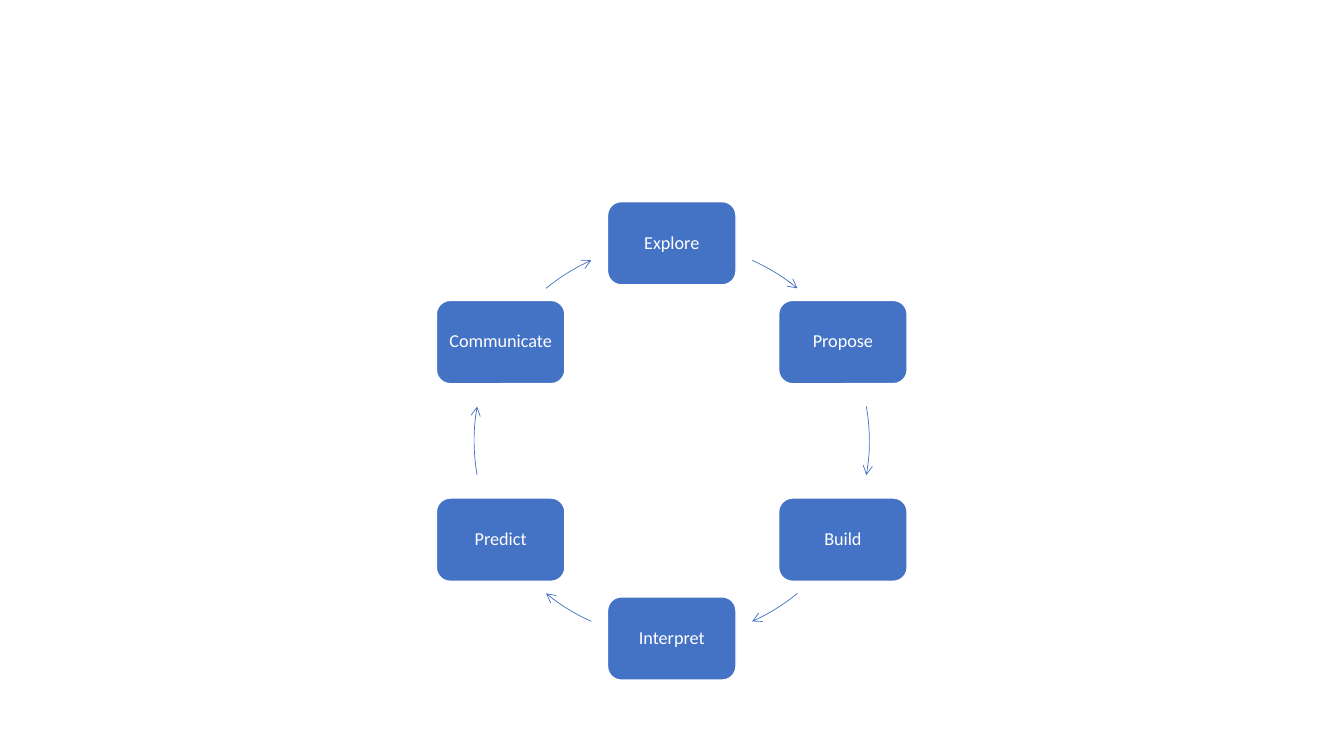
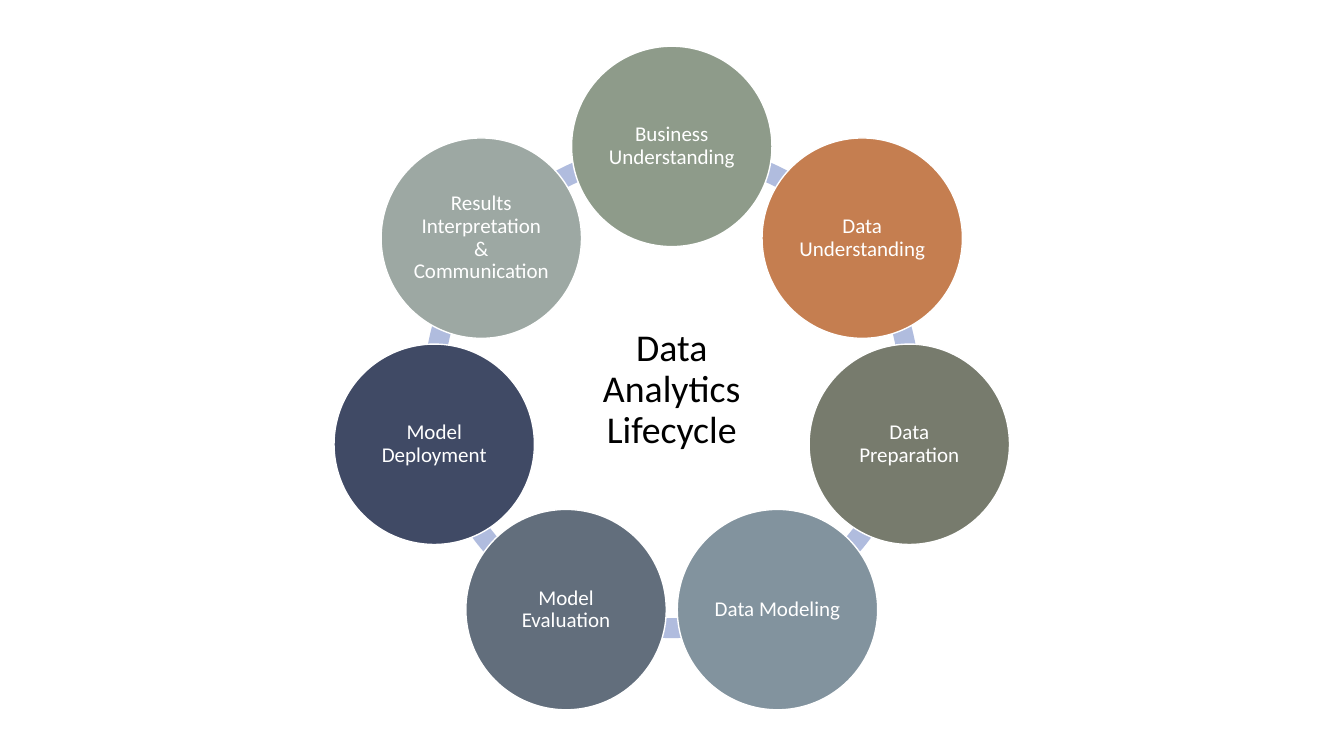
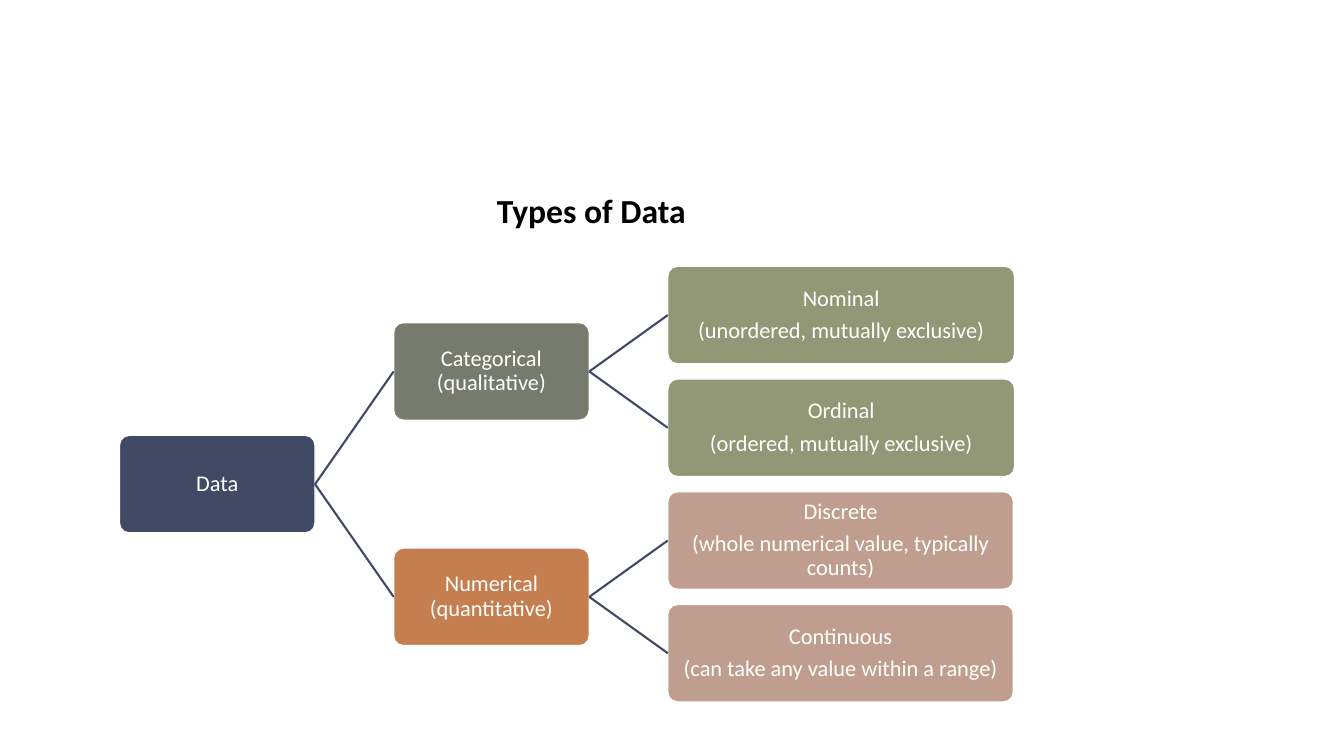
from dataclasses import dataclass
from math import cos, radians, sin

from lxml import etree
from pptx import Presentation
from pptx.dml.color import RGBColor
from pptx.enum import shapes, text
from pptx.oxml import ns
from pptx.util import Cm, Pt


@dataclass(frozen=True)
class Theme:
    font: str = "Calibri"
    white: str = "FFFFFF"
    black: str = "000000"
    blue: str = "4472C4"
    pale_blue: str = "B0BCDE"
    navy: str = "404A65"
    orange: str = "C57E50"
    moss: str = "777B6D"
    olive: str = "929776"
    rose: str = "BF9E8F"
    sage: str = "8E9B8A"
    steel: str = "82939E"
    slate: str = "626E7C"
    mist: str = "9DA8A3"
    step_size: float = 13
    phase_size: float = 15
    tree_size: float = 16
    title_size: float = 24
    hub_size: float = 27
    outline: float = 1
    arrow_width: float = 0.5
    branch_width: float = 1.5


THEME = Theme()
SHAPE = shapes.MSO_SHAPE
CENTER_X = 16.93
ARC_UNITS_PER_DEGREE = 0.6

STEPS = ["Explore", "Propose", "Build", "Interpret", "Predict", "Communicate"]
# Start and end of each arrow, in degrees past its step; the pattern repeats every half turn.
ARROW_SPANS = [(24, 39.5), (20, 40), (20.5, 36)]

PHASES = [
    ("Business Understanding", THEME.sage),
    ("Data Understanding", THEME.orange),
    ("Data Preparation", THEME.moss),
    ("Data Modeling", THEME.steel),
    ("Model Evaluation", THEME.slate),
    ("Model Deployment", THEME.navy),
    ("Results Interpretation & Communication", THEME.mist),
]

# Each node: paragraphs, colour, width, children.
DATA_TREE = (["Data"], THEME.navy, 4.93, [
    (["Categorical (qualitative)"], THEME.moss, 4.93, [
        (["Nominal", "(unordered, mutually exclusive)"], THEME.olive, 8.74, []),
        (["Ordinal", "(ordered, mutually exclusive)"], THEME.olive, 8.74, []),
    ]),
    (["Numerical (quantitative)"], THEME.orange, 4.93, [
        (["Discrete", "(whole numerical value, typically counts)"], THEME.rose, 8.71, []),
        (["Continuous", "(can take any value within a range)"], THEME.rose, 8.71, []),
    ]),
])


def set_values(target, values):
    for name, value in values.items():
        setattr(target, name, value)


def write_text(shape, lines, size, color, margin):
    """Fill a shape with centred paragraphs."""
    frame = shape.text_frame
    set_values(frame, {
        "word_wrap": True,
        "vertical_anchor": text.MSO_ANCHOR.MIDDLE,
        **{f"margin_{side}": Cm(margin) for side in ("left", "top", "right", "bottom")},
    })
    frame.text = "\n".join(lines)
    for paragraph in frame.paragraphs:
        set_values(paragraph, {
            "alignment": text.PP_ALIGN.CENTER,
            "line_spacing": 0.9,
            "space_after": Pt(0.35 * size),
        })
        set_values(paragraph.font, {"name": THEME.font, "size": Pt(size)})
        paragraph.font.color.rgb = RGBColor.from_string(color)


def centered_box(x, y, width, height):
    return Cm(x - width / 2), Cm(y - height / 2), Cm(width), Cm(height)


def set_line(line, color, width):
    line.color.rgb = RGBColor.from_string(color)
    line.width = Pt(width)


def add_node(slide, kind, box, fill, lines, size, margin):
    shape = slide.shapes.add_shape(kind, *box)
    shape.shadow.inherit = False
    shape.fill.solid()
    shape.fill.fore_color.rgb = RGBColor.from_string(fill)
    set_line(shape.line, THEME.white, THEME.outline)
    write_text(shape, lines, size, THEME.white, margin)
    return shape


def add_arc(slide, kind, center_y, diameter, start, end):
    """Add an arc that runs clockwise between two angles, 0 pointing right."""
    box = centered_box(CENTER_X, center_y, diameter, diameter)
    arc = slide.shapes.add_shape(kind, *box)
    arc.shadow.inherit = False
    for index, angle in enumerate((start, end)):
        arc.adjustments[index] = angle % 360 * ARC_UNITS_PER_DEGREE
    return arc


def add_arc_arrow(slide, center_y, diameter, start, end):
    arrow = add_arc(slide, SHAPE.ARC, center_y, diameter, start, end)
    arrow.fill.background()
    set_line(arrow.line, THEME.blue, THEME.arrow_width)
    outline = arrow.element.spPr.find(ns.qn("a:ln"))
    etree.SubElement(outline, ns.qn("a:tailEnd"), type="arrow")


def add_ring_segment(slide, center_y, diameter, start, end):
    segment = add_arc(slide, SHAPE.BLOCK_ARC, center_y, diameter, start, end)
    segment.adjustments[2] = 0.04
    segment.fill.solid()
    segment.fill.fore_color.rgb = RGBColor.from_string(THEME.pale_blue)
    segment.line.fill.background()


def add_branch(slide, parent, child):
    branch = slide.shapes.add_connector(shapes.MSO_CONNECTOR.STRAIGHT, 0, 0, 0, 0)
    branch.begin_connect(parent, 3)
    branch.end_connect(child, 1)
    set_line(branch.line, THEME.navy, THEME.branch_width)
    etree.SubElement(branch.element.spPr, ns.qn("a:effectLst"))


def around(center_y, radius, count):
    """Yield angle, x and y of equally spaced points, clockwise from the top."""
    for index in range(count):
        angle = -90 + index * 360 / count
        yield (angle, CENTER_X + radius * cos(radians(angle)),
               center_y + radius * sin(radians(angle)))


def build_step_cycle(slide):
    center_y, radius = 11.11, 4.98
    points = around(center_y, radius, len(STEPS))
    for index, (step, (angle, x, y)) in enumerate(zip(STEPS, points)):
        add_node(slide, SHAPE.ROUNDED_RECTANGLE, centered_box(x, y, 3.24, 2.1),
                 THEME.blue, [step], THEME.step_size, 0.13)
        start, end = ARROW_SPANS[index % len(ARROW_SPANS)]
        add_arc_arrow(slide, center_y, 2 * radius, angle + start, angle + end)


def build_lifecycle(slide):
    center_y = 9.83
    points = list(around(center_y, 6.14, len(PHASES)))
    for angle, _, _ in points:
        add_ring_segment(slide, center_y, 12.5, angle, angle + 360 / len(PHASES))
    hub = slide.shapes.add_textbox(*centered_box(CENTER_X, center_y, 5.03, 3.43))
    write_text(hub, ["Data Analytics Lifecycle"], THEME.hub_size, THEME.black, 0.1)
    for (phase, color), (_, x, y) in zip(PHASES, points):
        add_node(slide, SHAPE.OVAL, centered_box(x, y, 5.05, 5.05),
                 color, [phase], THEME.phase_size, 0.05)


def add_tree(slide, node, level=0, first_leaf=0):
    """Add a node beside its children; return its shape, centre and leaf count."""
    lines, color, width, children = node
    height, leaf_pitch, first_center = 2.46, 2.84, 7.94
    leaves, branches = 0, []
    for child in children:
        branches.append(add_tree(slide, child, level + 1, first_leaf + leaves))
        leaves += branches[-1][2]
    if branches:
        center = sum(branch[1] for branch in branches) / len(branches)
    else:
        center, leaves = first_center + first_leaf * leaf_pitch, 1
    box = Cm(3.01 + level * 6.91), Cm(center - height / 2), Cm(width), Cm(height)
    shape = add_node(slide, SHAPE.ROUNDED_RECTANGLE, box, color, lines,
                     THEME.tree_size, 0.03)
    shape.adjustments[0] = 0.1
    for child_shape, _, _ in branches:
        add_branch(slide, shape, child_shape)
    return shape, center, leaves


def build_data_types(slide):
    add_tree(slide, DATA_TREE)
    title = slide.shapes.add_textbox(Cm(12.27), Cm(4.67), Cm(5.33), Cm(1.27))
    title.text_frame.word_wrap = False
    title.text_frame.text = "Types of Data"
    font = title.text_frame.paragraphs[0].font
    set_values(font, {"name": THEME.font, "size": Pt(THEME.title_size), "bold": True})
    font.color.rgb = RGBColor.from_string(THEME.black)


def main():
    presentation = Presentation()
    set_values(presentation, {"slide_width": Cm(33.87), "slide_height": Cm(19.05)})
    blank = presentation.slide_layouts[6]
    for build in (build_step_cycle, build_lifecycle, build_data_types):
        build(presentation.slides.add_slide(blank))
    presentation.save("out.pptx")


if __name__ == "__main__":
    main()
